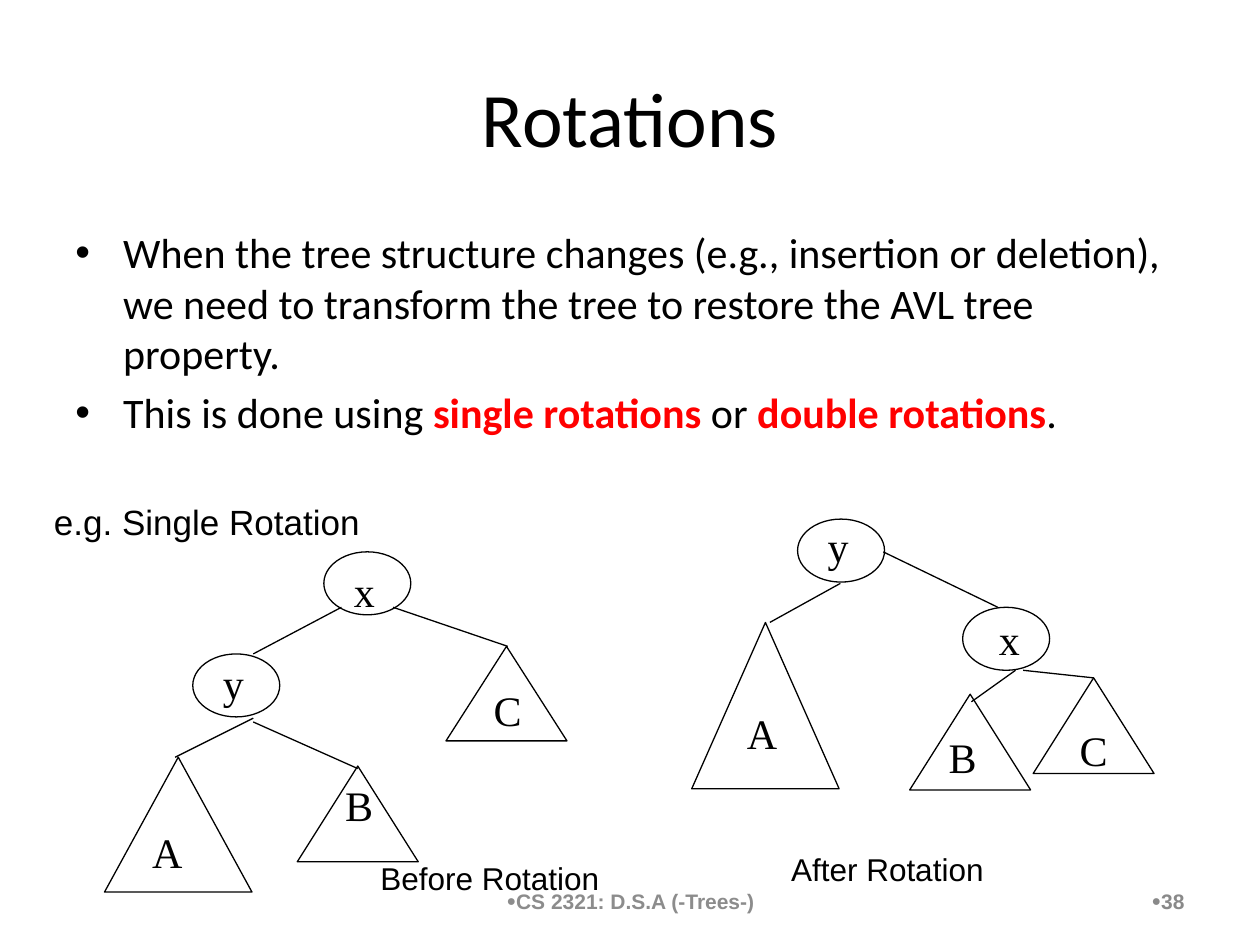
import pptx
import pptx.util
import pptx.dml.color
import pptx.enum.shapes
import pptx.enum.text
import pptx.oxml

PX = 9144  # 100 px to the inch
COLORS = {"ink": "000000", "accent": "FF0000", "footer": "8C8C8C", "number": "898989"}
ALIGN = pptx.enum.text.PP_ALIGN
MIDDLE = pptx.enum.text.MSO_ANCHOR.MIDDLE
SHAPES = pptx.enum.shapes.MSO_SHAPE

presentation = pptx.Presentation()
presentation.slide_width = 1000 * PX
presentation.slide_height = 750 * PX
slide = presentation.slides.add_slide(presentation.slide_layouts[5])


def format_text(paragraph, font_name, size, color, bold=False):
    for run in paragraph.runs:
        run.font.name = font_name
        run.font.size = pptx.util.Pt(size)
        run.font.bold = bold
        run.font.color.rgb = pptx.dml.color.RGBColor.from_string(COLORS[color])


def add_bullet(paragraph, symbol, percent, margin):
    properties = paragraph._p.get_or_add_pPr()
    properties.set("marL", str(margin * PX))
    properties.set("indent", str(-margin * PX))
    namespace = 'xmlns:a="http://schemas.openxmlformats.org/drawingml/2006/main"'
    for element in (f'buSzPct {namespace} val="{percent * 1000}"',
                    f'buFont {namespace} typeface="Arial"',
                    f'buChar {namespace} char="{symbol}"'):
        properties.append(pptx.oxml.parse_xml(f"<a:{element}/>"))


# Title
title = slide.shapes.title
title.left, title.top, title.width, title.height = 50 * PX, 30 * PX, 900 * PX, 125 * PX
title.text_frame.text = "Rotations"
title.text_frame.vertical_anchor = MIDDLE
title.text_frame.paragraphs[0].alignment = ALIGN.CENTER
format_text(title.text_frame.paragraphs[0], "Calibri", 44, "ink")

# Bulleted body, with key terms as separate runs
body = slide.shapes.add_textbox(50 * PX, 175 * PX, 900 * PX, 495 * PX)
body.text_frame.word_wrap = True
first = body.text_frame.paragraphs[0]
first.text = ("When the tree structure changes (e.g., insertion or deletion), "
              "we need to transform the tree to restore the AVL tree property.")
second = body.text_frame.add_paragraph()
second.space_before = pptx.util.Pt(5)
for text in ("This is done using ", "single rotations ", "or ", "double rotations", "."):
    second.add_run().text = text
for paragraph in (first, second):
    add_bullet(paragraph, "•", 100, 38)
    format_text(paragraph, "Calibri", 24, "ink")
for run in second.runs[1::2]:
    run.font.bold = True
    run.font.color.rgb = pptx.dml.color.RGBColor.from_string(COLORS["accent"])

# Footer and slide number
for text, left, width, alignment, color in (
        ("CS 2321: D.S.A (-Trees-)", 342, 317, ALIGN.CENTER, "footer"),
        ("38", 717, 233, ALIGN.RIGHT, "number")):
    footer = slide.shapes.add_textbox(left * PX, 695 * PX, width * PX, 40 * PX)
    footer.text_frame.word_wrap = True
    footer.text_frame.vertical_anchor = MIDDLE
    paragraph = footer.text_frame.paragraphs[0]
    paragraph.text = text
    paragraph.alignment = alignment
    add_bullet(paragraph, "●", 75, 0)
    format_text(paragraph, "Arial", 12, color, bold=True)

# Tree nodes (ellipses) and subtrees (triangles), before then after
for kind, left, top, width, height in (
        (SHAPES.OVAL, 257, 438, 69, 50),
        (SHAPES.OVAL, 153, 519, 69, 50),
        (SHAPES.ISOSCELES_TRIANGLE, 83, 601, 117, 107),
        (SHAPES.ISOSCELES_TRIANGLE, 236, 608, 96, 76),
        (SHAPES.ISOSCELES_TRIANGLE, 354, 513, 96, 75),
        (SHAPES.OVAL, 633, 412, 69, 50),
        (SHAPES.OVAL, 764, 482, 69, 50),
        (SHAPES.ISOSCELES_TRIANGLE, 549, 494, 117, 132),
        (SHAPES.ISOSCELES_TRIANGLE, 722, 551, 96, 76),
        (SHAPES.ISOSCELES_TRIANGLE, 820, 538, 96, 76)):
    node = slide.shapes.add_shape(kind, left * PX, top * PX, width * PX, height * PX)
    node.shadow.inherit = False
    node.fill.background()
    node.line.color.rgb = pptx.dml.color.RGBColor.from_string(COLORS["ink"])
    node.line.width = pptx.util.Pt(0.75)

# Tree edges, before then after
for x1, y1, x2, y2 in (
        (201, 519, 271, 482), (139, 601, 201, 570),
        (201, 573, 284, 610), (312, 482, 403, 513),
        (701, 438, 792, 482), (611, 494, 667, 463),
        (771, 557, 806, 532), (812, 532, 868, 538)):
    edge = slide.shapes.add_connector(
        pptx.enum.shapes.MSO_CONNECTOR.STRAIGHT, x1 * PX, y1 * PX, x2 * PX, y2 * PX)
    edge.line.color.rgb = pptx.dml.color.RGBColor.from_string(COLORS["ink"])
    edge.line.width = pptx.util.Pt(0.75)
    edge._element.spPr.append(pptx.oxml.parse_xml(
        '<a:effectLst xmlns:a="http://schemas.openxmlformats.org/drawingml/2006/main"/>'))

# Node labels, before then after, and captions
SERIF, SANS = "Times New Roman", "Arial"
for text, left, top, width, height, font_name, size in (
        ("x", 271, 444, 174, 50, SERIF, 24),
        ("y", 167, 517, 174, 50, SERIF, 24),
        ("A", 111, 651, 174, 50, SERIF, 24),
        ("B", 264, 614, 174, 50, SERIF, 24),
        ("C", 382, 538, 174, 50, SERIF, 24),
        ("y", 647, 408, 174, 50, SERIF, 24),
        ("x", 783, 482, 69, 50, SERIF, 24),
        ("A", 583, 557, 118, 50, SERIF, 24),
        ("B", 743, 576, 69, 50, SERIF, 24),
        ("C", 847, 570, 69, 50, SERIF, 24),
        ("Before Rotation", 292, 677, 208, 40, SANS, 18),
        ("After Rotation", 618, 670, 208, 40, SANS, 18),
        ("e.g. Single Rotation", 33, 392, 308, 43, SANS, 20)):
    label = slide.shapes.add_textbox(left * PX, top * PX, width * PX, height * PX)
    label.text_frame.word_wrap = True
    label.text_frame.text = text
    format_text(label.text_frame.paragraphs[0], font_name, size, "ink")

presentation.save("out.pptx")
